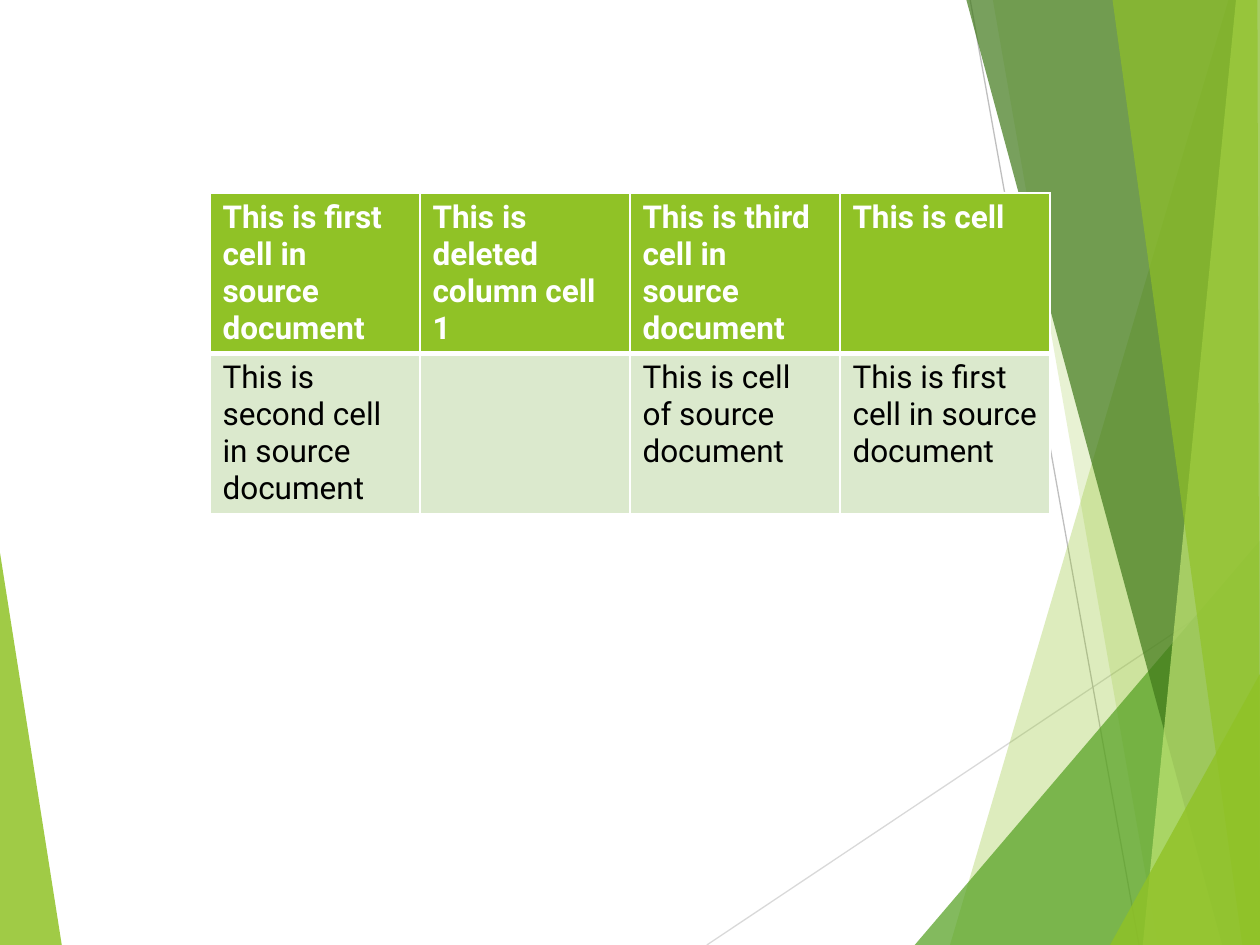
"""Build a slide with green translucent facets and a four-column table."""
from dataclasses import dataclass

from lxml import etree
from pptx import Presentation
from pptx import util as u
from pptx.dml.color import RGBColor
from pptx.enum import shapes
from pptx.oxml import ns

WIDTH, HEIGHT = u.Inches(10), u.Inches(7.5)
GRID_COLUMNS = 6
TABLE_TOP = 20.4
ROW_HEIGHT = 17
FONT = "Roboto"

WHITE = RGBColor(0xFF, 0xFF, 0xFF)
BLACK = RGBColor(0x00, 0x00, 0x00)
LIME = RGBColor(0x90, 0xC2, 0x26)
LEAF = RGBColor(0x54, 0xA0, 0x21)
FOREST = RGBColor(0x3F, 0x78, 0x19)
PALE_LIME = RGBColor(0xC0, 0xE4, 0x74)
MINT = RGBColor(0xDB, 0xE9, 0xCD)
SILVER = RGBColor(0xD9, 0xD9, 0xD9)
GRAY = RGBColor(0xBF, 0xBF, 0xBF)

Point = tuple[float, float]


@dataclass(frozen=True)
class Facet:
    """A polygon in percent of the slide, with its opacity in percent."""
    color: RGBColor
    opacity: int
    points: list[Point]


@dataclass(frozen=True)
class Ray:
    """A thin line between two points in percent of the slide."""
    color: RGBColor
    start: Point
    end: Point


@dataclass(frozen=True)
class RowStyle:
    """The look of one table row, with border widths in points."""
    fill: RGBColor
    color: RGBColor
    bold: bool
    borders: dict[str, int]


LEFT_FACET = Facet(LIME, 85, [(0, 58.5), (4.9, 100), (0, 100)])
RAYS = [
    Ray(SILVER, (56.1, 100), (100, 60.9)),
    Ray(GRAY, (77, 0), (90.4, 100)),
]
RIGHT_FACETS = [
    Facet(LIME, 30, [(97.5, 0), (75.4, 100), (100, 100), (100, 0)]),
    Facet(LIME, 20, [(78.8, 0), (91.9, 100), (100, 100), (100, 0)]),
    Facet(LEAF, 72, [(72.6, 100), (100, 57.2), (100, 100)]),
    Facet(FOREST, 70, [(76.7, 0), (97, 100), (100, 100), (100, 0)]),
    Facet(PALE_LIME, 70, [(98.1, 0), (90.7, 100), (100, 100), (100, 0)]),
    Facet(LIME, 65, [(88.3, 0), (98.6, 100), (100, 100), (99.8, 0)]),
    Facet(LIME, 80, [(88.1, 100), (100, 71.3), (100, 100)]),
]

HEADER = RowStyle(LIME, WHITE, True, {"L": 1, "R": 1, "T": 1, "B": 3})
BODY = RowStyle(MINT, BLACK, False, {"L": 1, "R": 1, "T": 3, "B": 1})
ROWS = [
    (HEADER, [
        "This is first cell in source document",
        "This is deleted column cell 1",
        "This is third cell in source document",
        "This is cell",
    ]),
    (BODY, [
        "This is second cell in source document",
        "",
        "This is cell of source document",
        "This is first cell in source document",
    ]),
]


def place(point: Point) -> tuple[int, int]:
    """Turn percent of the slide into slide units."""
    x, y = point
    return round(WIDTH * x / 100), round(HEIGHT * y / 100)


def draw_facet(slide, facet: Facet) -> None:
    """Draw one translucent polygon."""
    first, *others = map(place, facet.points)
    builder = slide.shapes.build_freeform(*first)
    builder.add_line_segments(others, close=True)
    shape = builder.convert_to_shape()
    shape.shadow.inherit = False
    shape.line.fill.background()
    shape.fill.solid()
    shape.fill.fore_color.rgb = facet.color
    color = shape.fill._xPr.find(".//" + ns.qn("a:srgbClr"))
    etree.SubElement(color, ns.qn("a:alpha"), val=str(facet.opacity * 1000))


def draw_ray(slide, ray: Ray) -> None:
    """Draw one thin line without a shadow."""
    connector = slide.shapes.add_connector(
        shapes.MSO_CONNECTOR.STRAIGHT, *place(ray.start), *place(ray.end))
    connector.line.color.rgb = ray.color
    connector.line.width = u.Pt(0.75)
    etree.SubElement(connector._element.spPr, ns.qn("a:effectLst"))


def set_borders(cell, widths: dict[str, int]) -> None:
    """Give a cell white borders, placed ahead of its fill."""
    properties = cell._tc.get_or_add_tcPr()
    for index, (side, width) in enumerate(widths.items()):
        border = etree.Element(ns.qn(f"a:ln{side}"), w=str(u.Pt(width)))
        fill = etree.SubElement(border, ns.qn("a:solidFill"))
        etree.SubElement(fill, ns.qn("a:srgbClr"), val=str(WHITE))
        properties.insert(index, border)


def fill_cell(cell, content: str, style: RowStyle) -> None:
    """Style a cell and write its text."""
    cell.fill.solid()
    cell.fill.fore_color.rgb = style.fill
    set_borders(cell, style.borders)
    if content:
        run = cell.text_frame.paragraphs[0].add_run()
        run.text = content
        run.font.name = FONT
        run.font.size = u.Pt(18)
        run.font.bold = style.bold
        run.font.color.rgb = style.color


def draw_table(slide) -> None:
    """Draw the table on the middle four of the six grid columns."""
    column_width = WIDTH // GRID_COLUMNS
    column_count = len(ROWS[0][1])
    _, top = place((0, TABLE_TOP))
    _, height = place((0, ROW_HEIGHT * len(ROWS)))
    table = slide.shapes.add_table(
        len(ROWS), column_count, column_width, top,
        column_width * column_count, height).table
    for row, (style, contents) in enumerate(ROWS):
        for column, content in enumerate(contents):
            fill_cell(table.cell(row, column), content, style)


def main() -> None:
    """Build and save the presentation."""
    presentation = Presentation()
    presentation.slide_width, presentation.slide_height = WIDTH, HEIGHT
    slide = presentation.slides.add_slide(presentation.slide_layouts[6])
    draw_facet(slide, LEFT_FACET)
    for ray in RAYS:
        draw_ray(slide, ray)
    for facet in RIGHT_FACETS:
        draw_facet(slide, facet)
    draw_table(slide)
    presentation.save("out.pptx")


if __name__ == "__main__":
    main()
